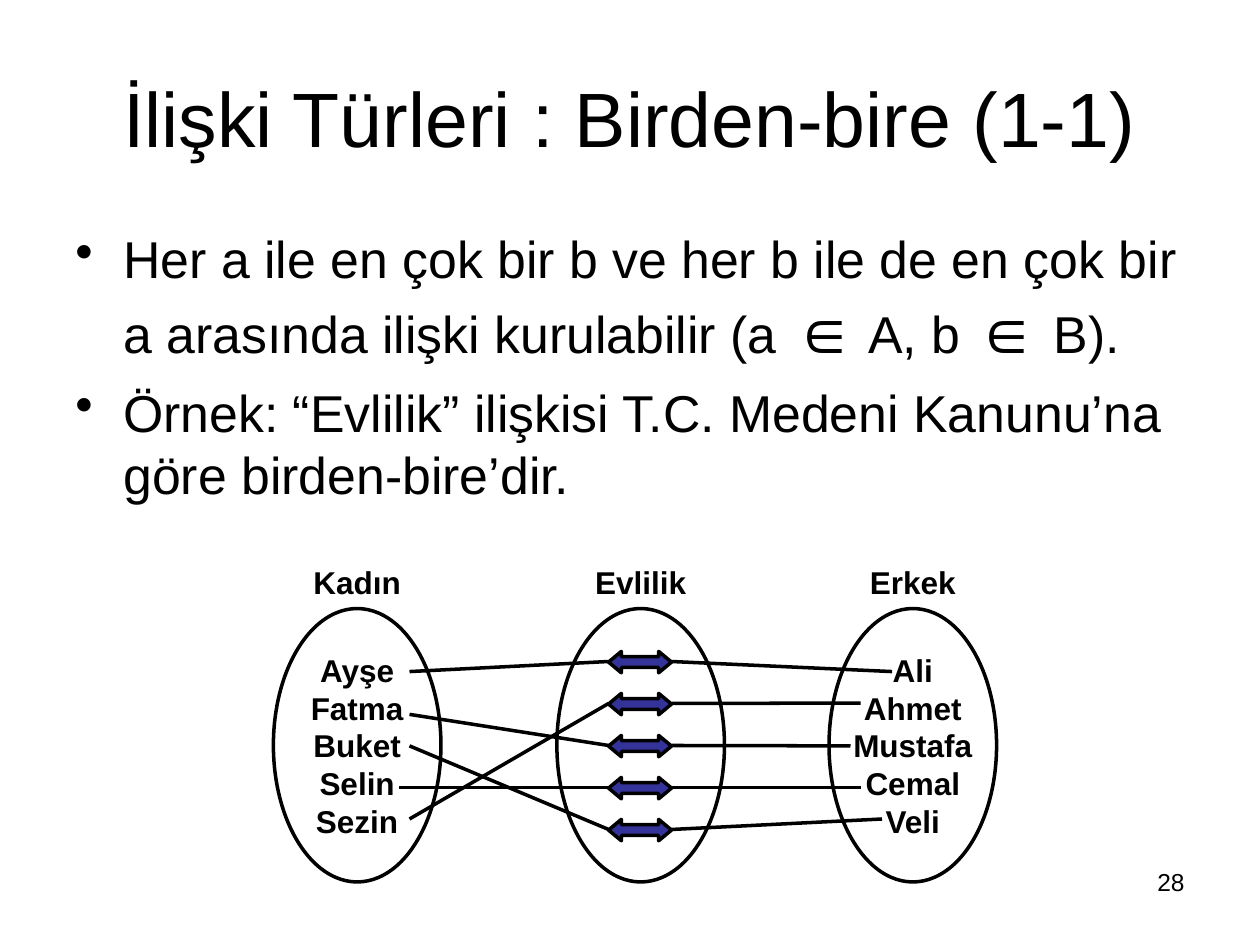
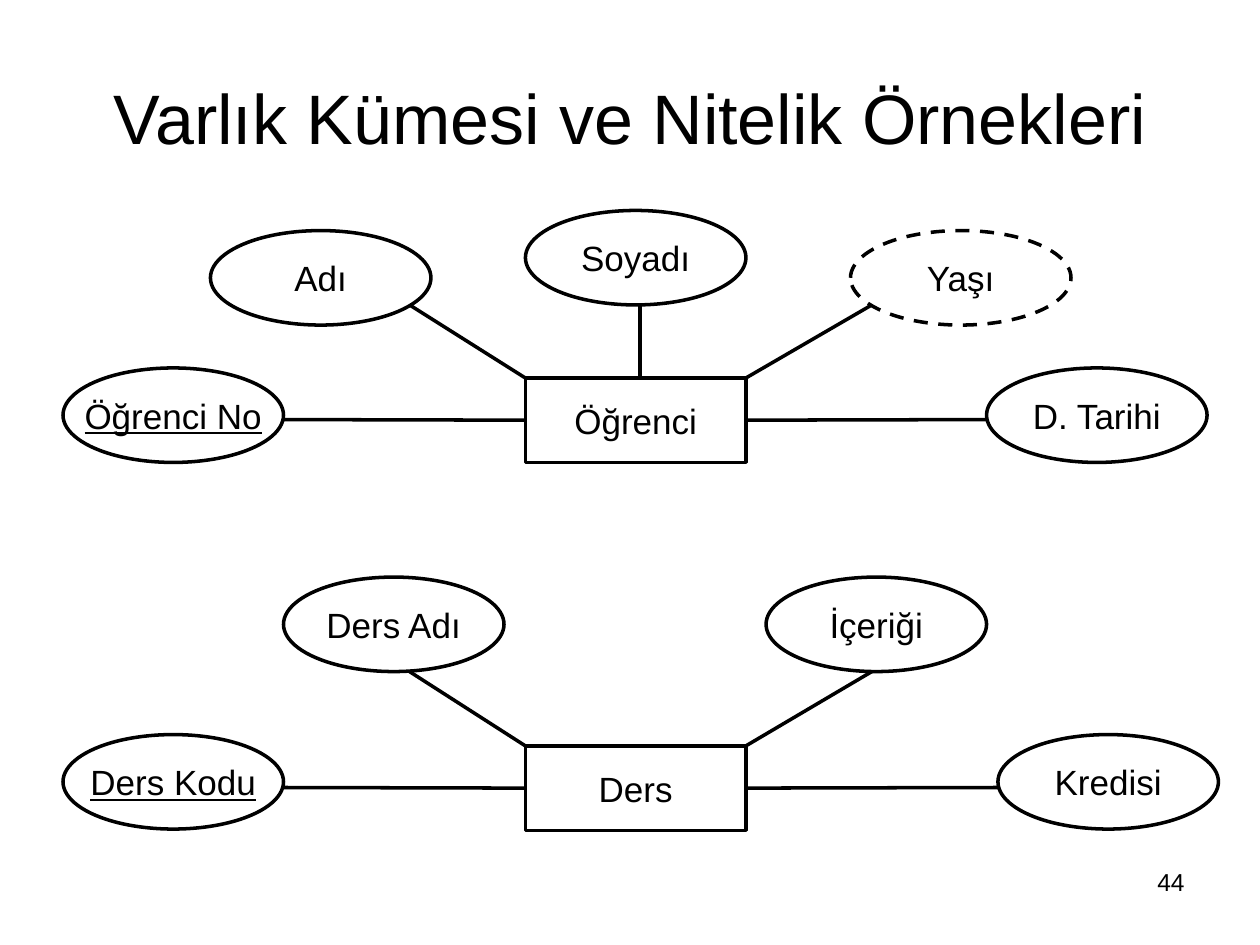
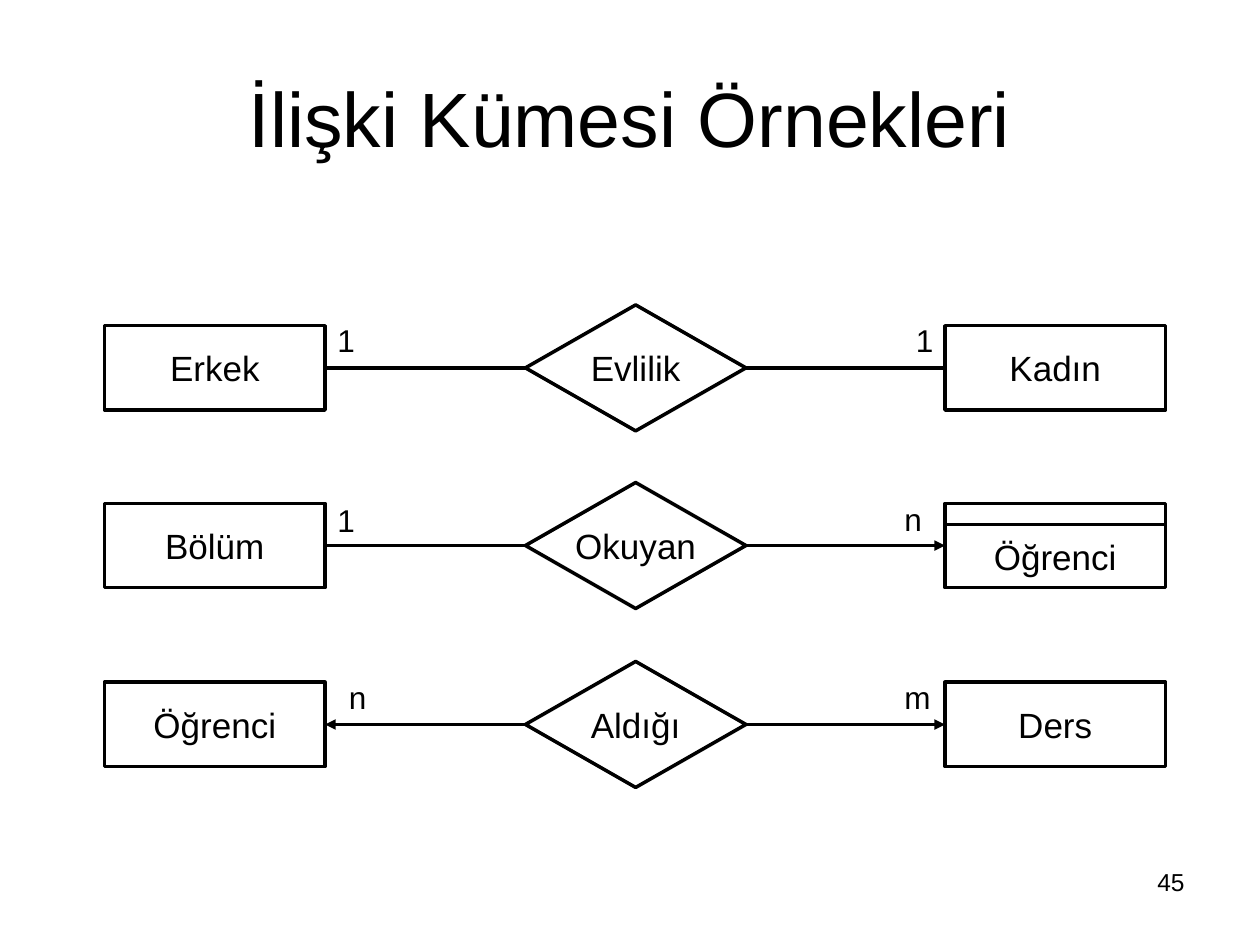
from pptx import Presentation
from pptx.dml.color import RGBColor
from pptx.enum.dml import MSO_LINE
from pptx.enum.shapes import MSO_CONNECTOR, MSO_SHAPE
from pptx.enum.text import MSO_ANCHOR, PP_ALIGN
from pptx.oxml.ns import qn
from pptx.util import Inches, Pt
from lxml import etree

FONT = "Arial"
INK = "000000"
ARROW_BLUE = "333399"
TOP, LEFT, BOTTOM, RIGHT = range(4)

# Slide 1: runs are (text, size)
RULES = [
    [("Her a ile en çok bir b ve her b ile de en çok bir a arasında ilişki kurulabilir (a ", 29.6),
     ("∈", 37), (" A, b ", 29.6), ("∈", 37), (" B).", 29.6)],
    [("Örnek: “Evlilik” ilişkisi T.C. Medeni Kanunu’na göre birden-bire’dir.", 29.6)],
]
# Each set: heading, left edge, members
SETS = [
    ("Kadın", 2.17, ["Ayşe", "Fatma", "Buket", "Selin", "Sezin"]),
    ("Evlilik", 4.42, []),
    ("Erkek", 6.58, ["Ali", "Ahmet", "Mustafa", "Cemal", "Veli"]),
]
# Line end beside each name, and the marriage it belongs to
WOMEN_ENDS = [(3.25, 5.33, 0), (3.25, 5.67, 2), (3.25, 5.92, 4), (3.17, 6.25, 3), (3.25, 6.5, 1)]
MEN_ENDS = [(7.08, 5.33, 0), (6.83, 5.58, 1), (6.75, 5.92, 2), (6.83, 6.25, 3), (7, 6.5, 4)]

# Slide 2: attributes are (name, left, top, style); links are (from, to, joined side of the entity)
ENTITIES = [
    {"name": "Öğrenci", "top": 3,
     "attributes": [("Öğrenci No", 0.5, 2.92, "key"), ("Adı", 1.67, 1.83, ""),
                    ("Soyadı", 4.17, 1.67, ""), ("Yaşı", 6.75, 1.83, "derived"),
                    ("D. Tarihi", 7.83, 2.92, "")],
     "links": [((2.25, 3.33), (4.17, 3.33), LEFT), ((3.25, 2.42), (4.17, 3), None),
               ((5.08, 2.42), (5.08, 3), None), ((6.92, 2.42), (5.92, 3), None),
               ((7.83, 3.33), (5.92, 3.33), RIGHT)]},
    {"name": "Ders", "top": 5.92,
     "attributes": [("Ders Kodu", 0.5, 5.83, "key"), ("Ders Adı", 2.25, 4.58, ""),
                    ("İçeriği", 6.08, 4.58, ""), ("Kredisi", 7.92, 5.83, "")],
     "links": [((2.25, 6.25), (4.17, 6.25), LEFT), ((3.25, 5.33), (4.17, 5.92), None),
               ((6.92, 5.33), (5.92, 5.92), None), ((7.92, 6.25), (5.92, 6.25), RIGHT)]},
]

# Slide 3: centre height, then left entity, relation, right entity;
# counts are (text, left, top); "many" marks the sides with an arrowhead
RELATIONS = [
    {"y": 2.92, "parts": ("Erkek", "Evlilik", "Kadın"), "many": (False, False),
     "counts": [("1", 2.58, 2.5), ("1", 7.17, 2.5)]},
    {"y": 4.33, "parts": ("Bölüm", "Okuyan", "Öğrenci"), "many": (False, True), "weak": True,
     "counts": [("1", 2.58, 3.93), ("n", 7.08, 3.92)]},
    {"y": 5.75, "parts": ("Öğrenci", "Aldığı", "Ders"), "many": (True, True),
     "counts": [("n", 2.67, 5.33), ("m", 7.08, 5.33)]},
]
NODE_W, ENTITY_H, ATTRIBUTE_H, RELATION_H = 1.75, 0.67, 0.75, 1
LEFT_X, MIDDLE_X, RIGHT_X = 0.83, 4.17, 7.5


def color(hex_value):
    return RGBColor.from_string(hex_value)


def style(font, size, bold=False, underline=None):
    font.name, font.size, font.bold = FONT, Pt(size), bold
    font.underline = underline
    font.color.rgb = color(INK)


def add_text(slide, text, left, top, width, height, size,
             align=PP_ALIGN.LEFT, anchor=MSO_ANCHOR.TOP, bold=False):
    frame = slide.shapes.add_textbox(*map(Inches, (left, top, width, height))).text_frame
    frame.word_wrap = True
    frame.vertical_anchor = anchor
    frame.text = text
    frame.paragraphs[0].alignment = align
    style(frame.paragraphs[0].font, size, bold)


def add_node(slide, kind, left, top, width, height, lines=(), size=20,
             bold=False, underline=None, fill=None):
    node = slide.shapes.add_shape(kind, *map(Inches, (left, top, width, height)))
    node.shadow.inherit = False
    if fill:
        node.fill.solid()
        node.fill.fore_color.rgb = color(fill)
    else:
        node.fill.background()
    node.line.color.rgb = color(INK)
    node.line.width = Pt(2)
    frame = node.text_frame
    frame.word_wrap = False
    frame.vertical_anchor = MSO_ANCHOR.MIDDLE
    if lines:
        frame.text = "\n".join(lines)
    for paragraph in frame.paragraphs:
        paragraph.alignment = PP_ALIGN.CENTER
        style(paragraph.font, size, bold, underline)
    return node


def add_line(slide, start, end, arrow=False):
    line = slide.shapes.add_connector(MSO_CONNECTOR.STRAIGHT, *map(Inches, start + end))
    line.line.color.rgb = color(INK)
    line.line.width = Pt(2)
    if arrow:
        etree.SubElement(line.line._get_or_add_ln(), qn("a:tailEnd"), type="triangle")
    etree.SubElement(line._element.spPr, qn("a:effectLst"))
    return line


def add_slide(deck, title, number, title_size=44):
    slide = deck.slides.add_slide(deck.slide_layouts[6])
    add_text(slide, title, 0.5, 0.3, 9, 1.25, title_size, PP_ALIGN.CENTER, MSO_ANCHOR.MIDDLE)
    add_text(slide, str(number), 7.17, 6.83, 2.33, 0.52, 14, PP_ALIGN.RIGHT)
    return slide


def add_rules(slide):
    frame = slide.shapes.add_textbox(*map(Inches, (0.5, 1.75, 9, 2.58))).text_frame
    frame.word_wrap = True
    for index, runs in enumerate(RULES):
        paragraph = frame.add_paragraph() if index else frame.paragraphs[0]
        paragraph.space_before = Pt(8)
        properties = paragraph._p.get_or_add_pPr()
        properties.set("marL", str(Inches(0.38)))
        properties.set("indent", str(-Inches(0.38)))
        etree.SubElement(properties, qn("a:buChar"), char="•")
        for text, size in runs:
            run = paragraph.add_run()
            run.text = text
            style(run.font, size)


def build_one_to_one(deck):
    slide = add_slide(deck, "İlişki Türleri : Birden-bire (1-1)", 28)
    add_rules(slide)

    # Sets with their headings
    for heading, left, members in SETS:
        add_text(slide, heading, left, 4.42, 1.33, 0.4, 18, PP_ALIGN.CENTER, bold=True)
        add_node(slide, MSO_SHAPE.OVAL, left, 4.83, 1.33, 2.17, members, 18, bold=True)

    # Marriages and the lines to both partners
    marriage_y = [5.25 + index / 3 for index in range(5)]
    for x, y, marriage in WOMEN_ENDS:
        add_line(slide, (4.83, marriage_y[marriage]), (x, y))
    for x, y, marriage in MEN_ENDS:
        add_line(slide, (x, y), (5.33, marriage_y[marriage]))
    for y in marriage_y:
        marriage = add_node(slide, MSO_SHAPE.LEFT_RIGHT_ARROW, 4.83, y - 0.08, 0.5, 0.17,
                            fill=ARROW_BLUE)
        marriage.adjustments[1] = 0.6


def build_attributes(deck):
    slide = add_slide(deck, "Varlık Kümesi ve Nitelik Örnekleri", 44, 40)
    for entity in ENTITIES:
        box = add_node(slide, MSO_SHAPE.RECTANGLE, MIDDLE_X, entity["top"], NODE_W, ENTITY_H,
                       [entity["name"]])
        for name, left, top, role in entity["attributes"]:
            attribute = add_node(slide, MSO_SHAPE.OVAL, left, top, NODE_W, ATTRIBUTE_H, [name],
                                 underline=role == "key" or None)
            if role == "derived":
                attribute.line.dash_style = MSO_LINE.DASH
        for start, end, side in entity["links"]:
            link = add_line(slide, start, end)
            if side is not None:
                link.end_connect(box, side)


def build_relations(deck):
    slide = add_slide(deck, "İlişki Kümesi Örnekleri", 45)
    for relation in RELATIONS:
        y = relation["y"]
        left_name, relation_name, right_name = relation["parts"]
        left_many, right_many = relation["many"]
        weak = relation.get("weak", False)
        top = y - ENTITY_H / 2

        # Entities on both sides of the relation
        left_box = add_node(slide, MSO_SHAPE.RECTANGLE, LEFT_X, top, NODE_W, ENTITY_H, [left_name])
        diamond = add_node(slide, MSO_SHAPE.DIAMOND, MIDDLE_X, y - RELATION_H / 2,
                           NODE_W, RELATION_H, [relation_name])
        band = 0.17 if weak else 0
        right_box = add_node(slide, MSO_SHAPE.RECTANGLE, RIGHT_X, top + band,
                             NODE_W, ENTITY_H - band, [right_name])
        if weak:
            add_node(slide, MSO_SHAPE.RECTANGLE, RIGHT_X, top, NODE_W, band)

        # Links run outwards from the relation
        left_link = add_line(slide, (MIDDLE_X, y), (LEFT_X + NODE_W, y), left_many)
        left_link.begin_connect(diamond, LEFT)
        left_link.end_connect(left_box, RIGHT)
        right_link = add_line(slide, (MIDDLE_X + NODE_W, y), (RIGHT_X, y), right_many)
        right_link.begin_connect(diamond, RIGHT)
        if not weak:
            right_link.end_connect(right_box, LEFT)

        for count, left, count_top in relation["counts"]:
            add_text(slide, count, left, count_top, 0.4, 0.4, 18)


def main():
    deck = Presentation()
    deck.slide_width, deck.slide_height = Inches(10), Inches(7.5)
    build_one_to_one(deck)
    build_attributes(deck)
    build_relations(deck)
    deck.save("out.pptx")


if __name__ == "__main__":
    main()
